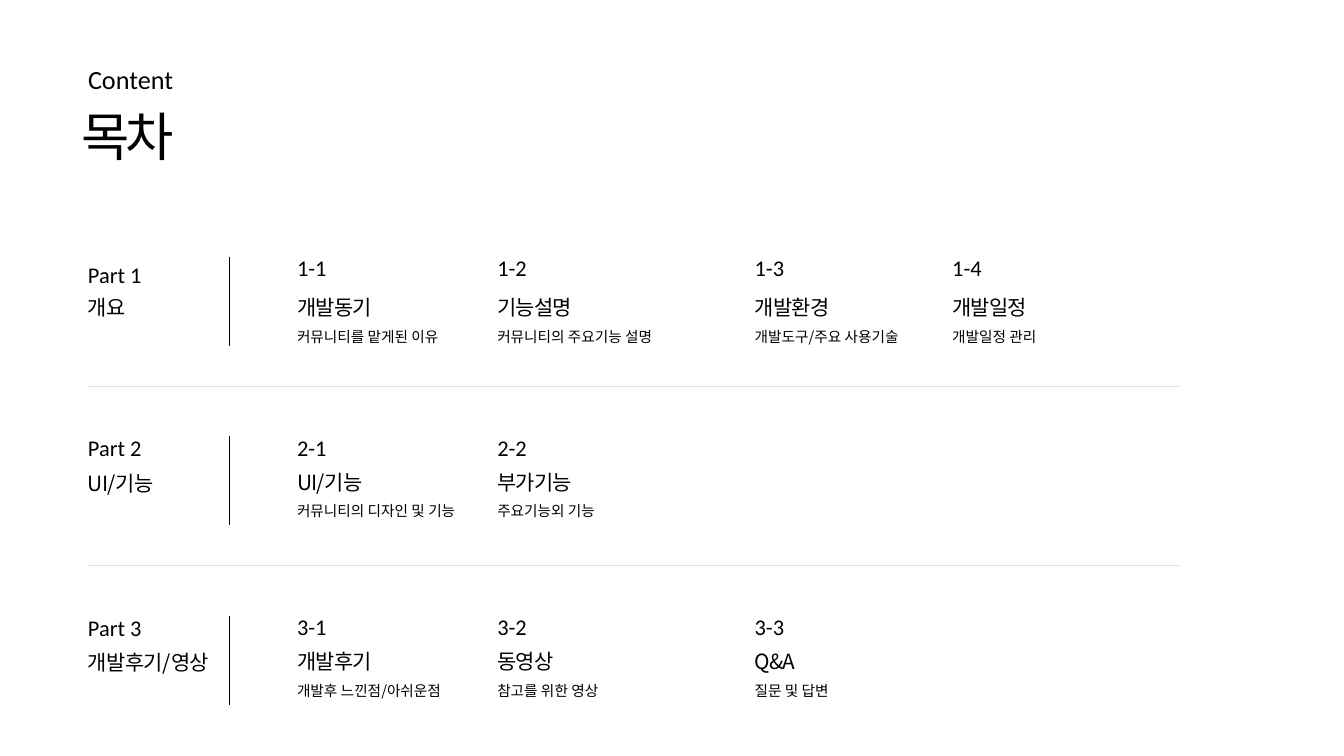
from lxml import etree
from pptx import Presentation
from pptx.dml.color import RGBColor
from pptx.enum.shapes import MSO_CONNECTOR
from pptx.enum.text import MSO_ANCHOR, MSO_AUTO_SIZE, PP_ALIGN
from pptx.oxml.ns import qn
from pptx.util import Inches, Pt

STRAIGHT = MSO_CONNECTOR.STRAIGHT
TOP = MSO_ANCHOR.TOP
LEFT = PP_ALIGN.LEFT
NO_FIT = MSO_AUTO_SIZE.NONE

LATIN, KOREAN = "Calibri", "Noto Sans CJK SC"
STYLES = {
    "kicker": (LATIN, 28.1, 39.4, 0),
    "title": (KOREAN, 56.2, 59, -380),
    "number": (LATIN, 24, 33.6, 0),
    "heading": (KOREAN, 22.4, 31.3, -80),
    "detail": (KOREAN, 15.7, 18.9, 0),
}

MARGIN, RIGHT = 1.31, 17.54
DIVIDER_LEFT = 3.42
COLUMNS = [4.42, 7.4, 11.23, 14.17]
FIRST_ROW, ROW_PITCH = 3.82, 2.67
DIVIDER_HEIGHT, RULE_OFFSET = 1.33, 1.93
PART_WIDTH, ITEM_WIDTH = 1.87, 2.9

FIRST_OFFSETS = (0, 0.5, -0.11, 0.51, 1.06)
OTHER_OFFSETS = (-0.09, 0.45, -0.1, 0.43, 0.98)

PARTS = [
    ("개요", FIRST_OFFSETS, [
        ("개발동기", "커뮤니티를 맡게된 이유"),
        ("기능설명", "커뮤니티의 주요기능 설명"),
        ("개발환경", "개발도구/주요 사용기술"),
        ("개발일정", "개발일정 관리"),
    ]),
    ("UI/기능", OTHER_OFFSETS, [
        ("UI/기능", "커뮤니티의 디자인 및 기능"),
        ("부가기능", "주요기능외 기능"),
    ]),
    ("개발후기/영상", OTHER_OFFSETS, [
        ("개발후기", "개발후 느낀점/아쉬운점"),
        ("동영상", "참고를 위한 영상"),
        ("Q&A", "질문 및 답변"),
    ]),
]

deck = Presentation()
deck.slide_width, deck.slide_height = Inches(20), Inches(11.25)
page = deck.slides.add_slide(deck.slide_layouts[5])


def write(text, style, left, top, width, box=None):
    font_name, size, leading, tracking = STYLES[style]
    if box is None:
        box = page.shapes.add_textbox(0, 0, 0, 0)
    box.left, box.top = Inches(left), Inches(top)
    box.width, box.height = Inches(width), Pt(leading)
    frame = box.text_frame
    frame.text = text
    frame.word_wrap = True
    frame.auto_size = NO_FIT
    frame.vertical_anchor = TOP
    frame.margin_left = frame.margin_right = frame.margin_top = frame.margin_bottom = 0
    para = frame.paragraphs[0]
    para.alignment = LEFT
    para.line_spacing = Pt(leading)
    span = para.runs[0]
    span.font.size = Pt(size)
    span.font.color.rgb = RGBColor.from_string("000000")
    span.font.name = font_name
    properties = span.font._element
    etree.SubElement(properties, qn("a:ea")).set("typeface", font_name)
    if tracking:
        properties.set("spc", str(tracking))


def draw_line(left, top, right, bottom, color):
    line = page.shapes.add_connector(
        STRAIGHT, Inches(left), Inches(top), Inches(right), Inches(bottom))
    line.line.color.rgb = RGBColor.from_string(color)
    line.line.width = Pt(0.75)
    etree.SubElement(line._element.spPr, qn("a:effectLst"))


write("Content", "kicker", MARGIN, 0.86, 4.09)
write("목차", "title", 1.21, 1.67, 7.56, page.shapes.title)

for row, (label, offsets, items) in enumerate(PARTS):
    top = FIRST_ROW + row * ROW_PITCH
    part_top, label_top, number_top, heading_top, detail_top = [top + offset for offset in offsets]

    write(f"Part {row + 1}", "number", MARGIN, part_top, PART_WIDTH)
    write(label, "heading", MARGIN, label_top, PART_WIDTH)
    draw_line(DIVIDER_LEFT, top, DIVIDER_LEFT, top + DIVIDER_HEIGHT, "000000")

    for column, (left, (heading, detail)) in enumerate(zip(COLUMNS, items), 1):
        write(f"{row + 1}-{column}", "number", left, number_top, ITEM_WIDTH)
        write(heading, "heading", left, heading_top, ITEM_WIDTH)
        write(detail, "detail", left, detail_top, ITEM_WIDTH)

    if row < len(PARTS) - 1:
        draw_line(MARGIN, top + RULE_OFFSET, RIGHT, top + RULE_OFFSET, "DFDFDF")

deck.save("out.pptx")
